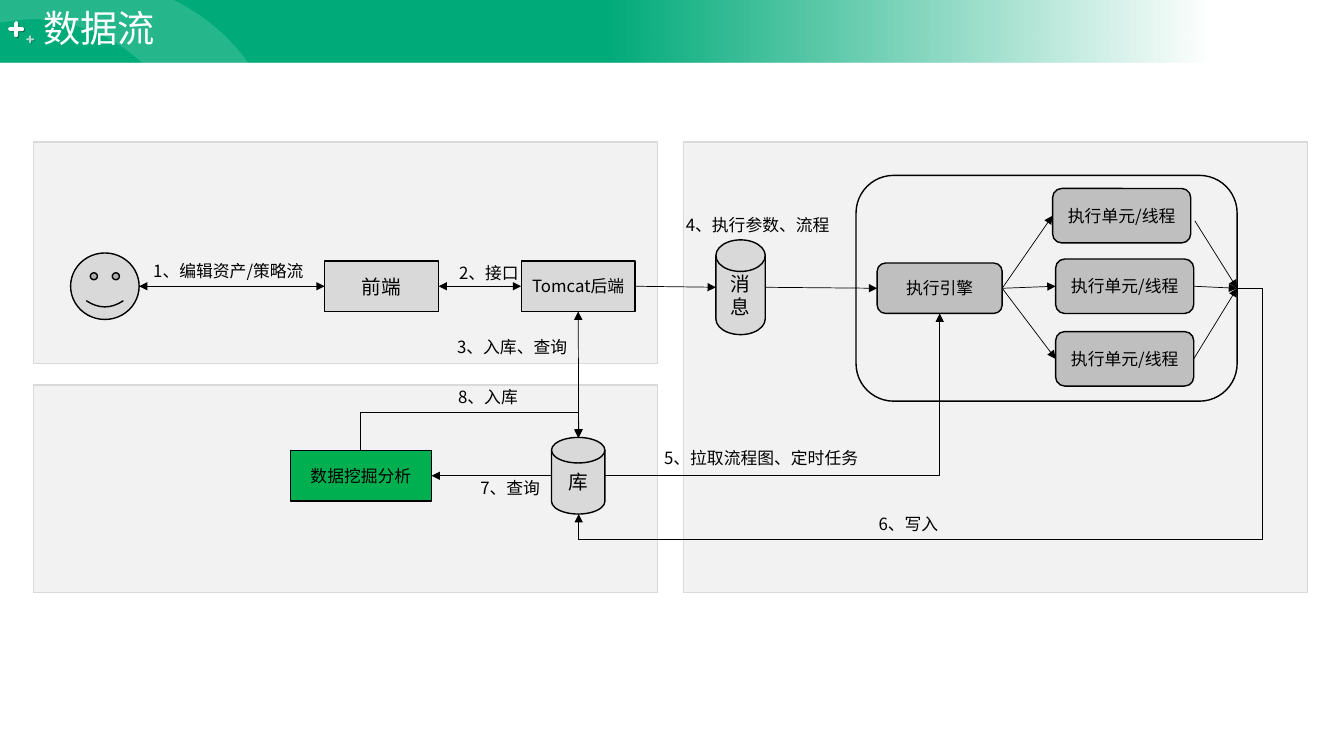
from dataclasses import dataclass
from math import cos, pi, sin

from lxml.etree import SubElement
from pptx import Presentation
from pptx.dml.color import RGBColor
from pptx.enum.shapes import MSO_CONNECTOR, MSO_SHAPE
from pptx.enum.text import MSO_ANCHOR, MSO_AUTO_SIZE, PP_ALIGN
from pptx.oxml.ns import qn
from pptx.util import Inches, Pt

COLORS = {
    "brand": "00AB7A", "white": "FFFFFF", "black": "000000", "panel": "F2F2F2",
    "edge": "D9D9D9", "node": "D9D9D9", "engine": "BFBFBF", "mining": "00B050",
}
CJK = "Noto Sans CJK SC"
Point = tuple[float, float]
Joint = tuple[str, int]
SIDES = [(0.5, 0), (0, 0.5), (0.5, 1), (1, 0.5)]


@dataclass
class Node:
    key: str
    kind: MSO_SHAPE
    box: tuple[float, float, float, float]
    fill: str
    text: str = ""
    size: float = 12
    line: str = "black"


@dataclass
class Arrow:
    """A straight arrow; each end is a point or a (node key, side) joint."""
    start: Point | Joint
    end: Point | Joint
    both: bool = False


@dataclass
class Elbow:
    start: Point
    end: Point
    preset: str
    adjust: tuple[int, ...] = ()
    turn: int = 0


@dataclass
class Label:
    text: str
    left: float
    top: float
    width: float


RECT, ROUND, DISK = (MSO_SHAPE.RECTANGLE, MSO_SHAPE.ROUNDED_RECTANGLE,
                     MSO_SHAPE.FLOWCHART_MAGNETIC_DISK)
UNITS = [("unit1", 10.44, 1.87), ("unit2", 10.47, 2.57), ("unit3", 10.47, 3.29)]
NODES = [
    Node("storage", RECT, (0.33, 3.82, 6.19, 2.06), "panel", line="edge"),
    Node("web", RECT, (0.33, 1.41, 6.19, 2.2), "panel", line="edge"),
    Node("execution", RECT, (6.78, 1.41, 6.19, 4.47), "panel", line="edge"),
    Node("pool", ROUND, (8.49, 1.74, 3.78, 2.24), "panel"),
    Node("user", MSO_SHAPE.SMILEY_FACE, (0.7, 2.51, 0.68, 0.66), "node"),
    Node("frontend", RECT, (3.22, 2.59, 1.13, 0.5), "node", "前端", 14),
    Node("backend", RECT, (5.17, 2.59, 1.13, 0.5), "node", "Tomcat后端"),
    Node("database", DISK, (5.47, 4.34, 0.53, 0.76), "node", "库", 14),
    Node("queue", DISK, (7.1, 2.38, 0.49, 0.94), "node", "消息", 14),
    Node("engine", ROUND, (8.7, 2.61, 1.24, 0.5), "engine", "执行引擎"),
    *(Node(key, ROUND, (left, top, 1.37, 0.54), "engine", "执行单元/线程")
      for key, left, top in UNITS),
    Node("mining", RECT, (2.88, 4.47, 1.4, 0.5), "mining", "数据挖掘分析"),
]
ARROWS = [
    Arrow((1.38, 2.84), ("frontend", 1), both=True),
    Arrow(("frontend", 3), ("backend", 1), both=True),
    Arrow(("backend", 2), (5.74, 4.34), both=True),
    Arrow(("backend", 3), (7.1, 2.85)),
    Arrow((7.59, 2.85), ("engine", 1)),
    Arrow((5.47, 4.72), ("mining", 3)),
    *(Arrow(("engine", 3), (key, 1)) for key, _, _ in UNITS),
    Arrow((11.85, 2.19), ("pool", 3)),
    *(Arrow((key, 3), ("pool", 3)) for key, _, _ in UNITS[1:]),
]
ELBOWS = [
    Elbow((6, 4.72), (9.32, 3.11), "bentConnector2"),
    Elbow((12.27, 2.86), (5.74, 5.1), "bentConnector4", (-3800, 111200)),
    Elbow((4.72, 5.49), (4.59, 3.33), "bentConnector3", (294500,), turn=90),
]
LABELS = [
    Label("1、编辑资产/策略流", 1.42, 2.54, 1.69),
    Label("2、接口", 4.45, 2.56, 0.8),
    Label("3、入库、查询", 4.43, 3.29, 1.3),
    Label("4、执行参数、流程", 6.57, 2.08, 1.89),
    Label("5、拉取流程图、定时任务", 6.48, 4.39, 2.14),
    Label("6、写入", 8.61, 5.05, 0.8),
    Label("7、查询", 4.66, 4.69, 0.8),
    Label("8、入库", 4.44, 3.79, 0.8),
]
# A start point, then two control points and an end point for each curve.
SWOOSH = [
    (2.51, 0.69),
    (1.9, -0.23), (0.61, -0.5), (-0.33, 0.13),
    (-0.27, 0.3), (-0.27, 0.3), (-0.27, 0.3),
    (-0.1, 0.24), (0.01, 0.22), (0.12, 0.21),
    (0.24, 0.19), (0.37, 0.18), (0.53, 0.21),
    (0.69, 0.23), (0.86, 0.28), (1.03, 0.36),
    (1.19, 0.44), (1.35, 0.56), (1.47, 0.68),
    (1.61, 0.79), (1.69, 0.9), (1.79, 0.99),
    (1.88, 1.07), (1.95, 1.12), (2.03, 1.16),
    (2.27, 1.24), (2.44, 1.15), (2.51, 1.07),
    (2.6, 1), (2.57, 0.79), (2.51, 0.69),
]


def color(name: str) -> RGBColor:
    return RGBColor.from_string(COLORS[name])


def write(frame, text: str, size: float, tint: str, font: str, align: PP_ALIGN) -> None:
    paragraph = frame.paragraphs[0]
    paragraph.alignment = align
    run = paragraph.add_run()
    run.text = text
    run.font.size, run.font.name, run.font.color.rgb = Pt(size), font, color(tint)
    SubElement(run.font._element, qn("a:ea")).set("typeface", CJK)


def set_alpha(fill_color, percent: int) -> None:
    SubElement(fill_color, qn("a:alpha")).set("val", str(percent * 1000))


def add_outline(shapes, points: list[Point], alpha: int, shadow: bool = False) -> None:
    """Draw a white outline of curves, three points each after the start."""
    first, *rest = [(Inches(x), Inches(y)) for x, y in points]
    builder = shapes.build_freeform(*first)
    builder.add_line_segments(rest, close=True)
    outline = builder.convert_to_shape()
    outline.shadow.inherit = False
    outline.fill.solid()
    outline.fill.fore_color.rgb = color("white")
    outline.line.fill.background()
    properties = outline.element.spPr
    steps = list(properties.iter(qn("a:lnTo")))
    for index in range(0, len(rest), 3):
        curve, *others = steps[index:index + 3]
        curve.tag = qn("a:cubicBezTo")
        for other in others:
            curve.append(other[0])
            other.getparent().remove(other)
    set_alpha(next(properties.iter(qn("a:srgbClr"))), alpha)
    if shadow:
        cast = SubElement(properties.find(qn("a:effectLst")), qn("a:outerShdw"))
        cast.set("dist", str(Pt(1)))
        cast.set("dir", "2700000")
        tint = SubElement(cast, qn("a:srgbClr"))
        tint.set("val", COLORS["black"])
        set_alpha(tint, 40)


def plus_points(x: float, y: float, reach: float, half: float) -> list[Point]:
    """Curve points of a plus sign whose four arms have round ends."""
    neck, bulge = reach - half, reach - 0.45 * half
    arm = [(neck, -half)] * 3 + [
        (bulge, -half), (reach, -0.55 * half), (reach, 0),
        (reach, 0.55 * half), (bulge, half), (neck, half),
    ] + [(half, half)] * 3
    points = [(x + half, y - half)]
    for angle in (quarter * pi / 2 for quarter in range(4)):
        points += [(x + u * cos(angle) - v * sin(angle), y + u * sin(angle) + v * cos(angle))
                   for u, v in arm]
    return points


def add_banner(shapes) -> None:
    banner = shapes.add_shape(RECT, 0, 0, Inches(13.33), Inches(0.62))
    banner.shadow.inherit = False
    banner.line.fill.background()
    banner.fill.gradient()
    banner.fill.gradient_angle = 0
    for stop, position in zip(banner.fill.gradient_stops, (0.45, 0.9)):
        stop.position = position
        stop.color.rgb = color("brand")
    set_alpha(list(banner.element.spPr.iter(qn("a:srgbClr")))[-1], 0)
    add_outline(shapes, plus_points(0.16, 0.29, 0.08, 0.02), 100, shadow=True)
    add_outline(shapes, plus_points(0.3, 0.39, 0.04, 0.01), 70, shadow=True)
    add_outline(shapes, SWOOSH, 15)


def add_node(shapes, node: Node):
    shape = shapes.add_shape(node.kind, *map(Inches, node.box))
    shape.shadow.inherit = False
    shape.fill.solid()
    shape.fill.fore_color.rgb = color(node.fill)
    shape.line.color.rgb, shape.line.width = color(node.line), Pt(1)
    if node.text:
        shape.text_frame.word_wrap = True
        shape.text_frame.vertical_anchor = MSO_ANCHOR.MIDDLE
        write(shape.text_frame, node.text, node.size, "black", CJK, PP_ALIGN.CENTER)
    return shape


def add_line(shapes, kind: MSO_CONNECTOR, start: Point, end: Point, both: bool = False):
    line = shapes.add_connector(kind, *map(Inches, (*start, *end)))
    line.line.color.rgb, line.line.width = color("black"), Pt(0.5)
    stroke = line.line._get_or_add_ln()
    for tag in (["a:headEnd"] if both else []) + ["a:tailEnd"]:
        SubElement(stroke, qn(tag)).set("type", "triangle")
    SubElement(line.element.spPr, qn("a:effectLst"))
    return line


def locate(place: Point | Joint, boxes: dict) -> Point:
    if not isinstance(place[0], str):
        return place
    left, top, width, height = boxes[place[0]]
    across, down = SIDES[place[1]]
    return left + across * width, top + down * height


def add_arrow(shapes, arrow: Arrow, drawn: dict, boxes: dict) -> None:
    line = add_line(shapes, MSO_CONNECTOR.STRAIGHT, locate(arrow.start, boxes),
                    locate(arrow.end, boxes), arrow.both)
    for place, connect in ((arrow.start, line.begin_connect), (arrow.end, line.end_connect)):
        if isinstance(place[0], str):
            connect(drawn[place[0]], place[1])


def add_elbow(shapes, elbow: Elbow) -> None:
    properties = add_line(shapes, MSO_CONNECTOR.ELBOW, elbow.start, elbow.end).element.spPr
    if elbow.turn:
        properties.find(qn("a:xfrm")).set("rot", str(elbow.turn * 60000))
    geometry = properties.find(qn("a:prstGeom"))
    geometry.set("prst", elbow.preset)
    for number, value in enumerate(elbow.adjust, 1):
        guide = SubElement(geometry.find(qn("a:avLst")), qn("a:gd"))
        guide.set("name", f"adj{number}")
        guide.set("fmla", f"val {value}")


def add_label(shapes, label: Label) -> None:
    box = shapes.add_textbox(*map(Inches, (label.left, label.top, label.width, 0.3)))
    box.text_frame.word_wrap = True
    box.text_frame.auto_size = MSO_AUTO_SIZE.SHAPE_TO_FIT_TEXT
    write(box.text_frame, label.text, 12, "black", CJK, PP_ALIGN.CENTER)


def main() -> None:
    deck = Presentation()
    deck.slide_width, deck.slide_height = Inches(13.33), Inches(7.5)
    shapes = deck.slides.add_slide(deck.slide_layouts[5]).shapes
    add_banner(shapes)
    drawn = {node.key: add_node(shapes, node) for node in NODES}
    boxes = {node.key: node.box for node in NODES}
    for arrow in ARROWS:
        add_arrow(shapes, arrow, drawn, boxes)
    for elbow in ELBOWS:
        add_elbow(shapes, elbow)
    for label in LABELS:
        add_label(shapes, label)
    title = shapes.title
    title.left, title.top, title.width, title.height = map(Inches, (0.33, 0, 1.32, 0.55))
    title.text_frame.word_wrap = False
    title.text_frame.vertical_anchor = MSO_ANCHOR.TOP
    write(title.text_frame, "数据流", 26.6, "white", "Arial", PP_ALIGN.LEFT)
    shapes._spTree.append(title.element)
    deck.save("out.pptx")


if __name__ == "__main__":
    main()
